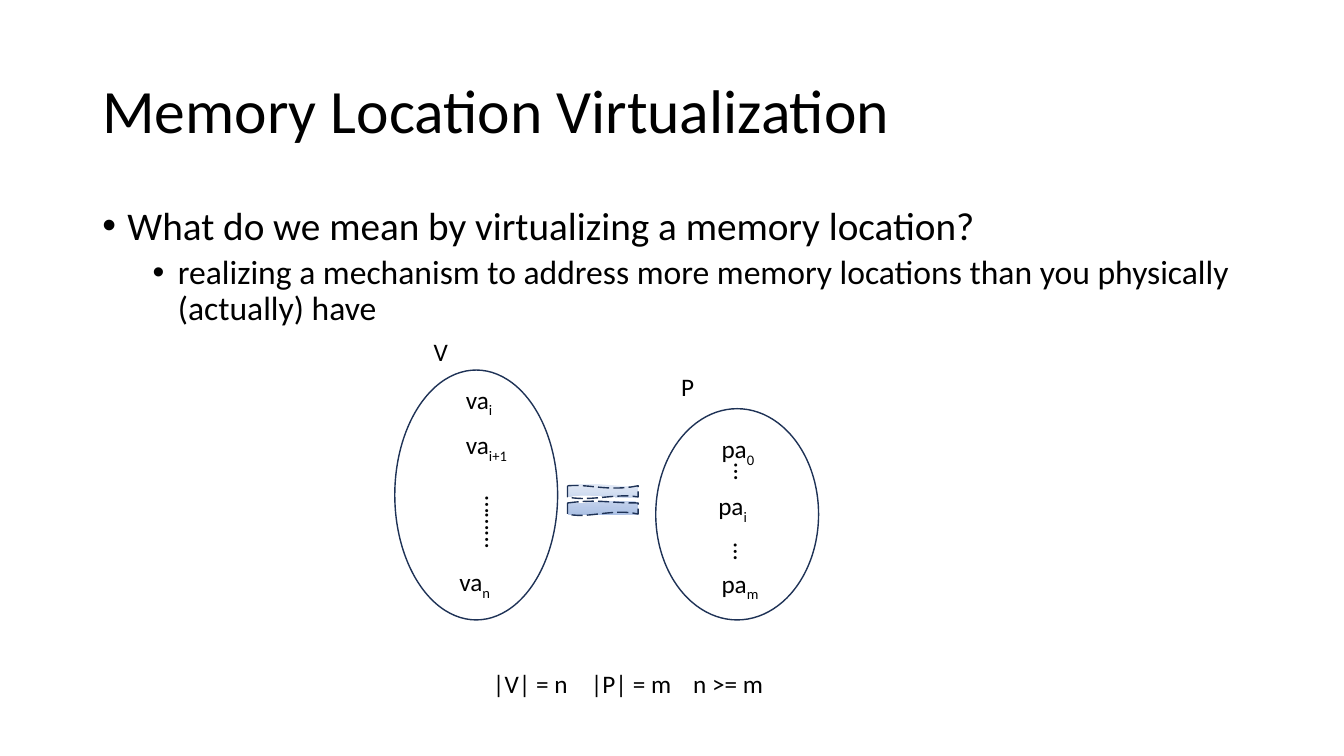
from lxml import etree
from pptx import Presentation
from pptx.dml.color import RGBColor
from pptx.enum.dml import MSO_LINE
from pptx.enum.shapes import MSO_SHAPE
from pptx.enum.text import MSO_ANCHOR
from pptx.oxml.ns import qn
from pptx.util import Pt

LONG_DASH = MSO_LINE.LONG_DASH
OVAL = MSO_SHAPE.OVAL
MIDDLE = MSO_ANCHOR.MIDDLE

FONT = "Calibri"
BLACK = "000000"
NAVY = "1E3256"
BAND_LEFT, BAND_RIGHT = 405.4, 455.8
CURVE_STEPS = 12


def rgb(value):
    """Turn a hex string into a colour."""
    return RGBColor.from_string(value)


def style_font(para, size):
    """Give a paragraph the slide's typeface and colour."""
    para.font.name = FONT
    para.font.size = Pt(size)
    para.font.color.rgb = rgb(BLACK)


def add_box(page, left, top, width, height, wrap=True):
    """Add an empty text box."""
    box = page.shapes.add_textbox(Pt(left), Pt(top), Pt(width), Pt(height))
    box.text_frame.word_wrap = wrap
    return box


def add_label(page, left, top, width, text, subscript="", turned=False, wrap=True):
    """Add a one-line label, with a subscript or a quarter turn if asked."""
    box = add_box(page, left, top, width, 29, wrap)
    para = box.text_frame.paragraphs[0]
    style_font(para, 18)
    para.add_run().text = text
    if subscript:
        span = para.add_run()
        span.text = subscript
        span.font._element.set("baseline", "-25000")
    if turned:
        box.rotation = 270
    return para


def add_tab_stops(para, positions):
    """Set left tab stops, in points from the text edge."""
    stops = etree.Element(qn("a:tabLst"))
    for position in positions:
        etree.SubElement(stops, qn("a:tab"), pos=str(Pt(position)), algn="l")
    para._p.get_or_add_pPr().insert(0, stops)


def add_title(page, text):
    """Add the slide heading."""
    frame = add_box(page, 66, 28.8, 828, 104.4).text_frame
    frame.vertical_anchor = MIDDLE
    para = frame.paragraphs[0]
    para.text = text
    para.line_spacing = 0.9
    style_font(para, 44)


def add_bullet(para, text, size, indent, space_before):
    """Fill a paragraph as a bullet with a hanging indent."""
    para.text = text
    para.line_spacing = 0.9
    para.space_before = Pt(space_before)
    style_font(para, size)
    properties = para._p.get_or_add_pPr()
    properties.set("marL", str(Pt(indent)))
    properties.set("indent", str(Pt(-18)))
    bullet_font = etree.Element(qn("a:buFont"), typeface="Arial")
    bullet = etree.Element(qn("a:buChar"), char="•")
    properties.find(qn("a:spcBef")).addnext(bullet_font)
    bullet_font.addnext(bullet)


def add_set(page, left, top, width, height):
    """Add the outline of an address set."""
    oval = page.shapes.add_shape(OVAL, Pt(left), Pt(top), Pt(width), Pt(height))
    oval.shadow.inherit = False
    oval.fill.background()
    oval.line.color.rgb = rgb(NAVY)
    oval.line.width = Pt(1)


def curve_points(start, first, second, end):
    """Sample a cubic curve, start and end included."""
    points = []
    for step in range(CURVE_STEPS + 1):
        t = step / CURVE_STEPS
        weights = ((1 - t) ** 3, 3 * t * (1 - t) ** 2, 3 * t * t * (1 - t), t ** 3)
        knots = (start, first, second, end)
        points.append(tuple(Pt(sum(w * knot[axis] for w, knot in zip(weights, knots)))
                            for axis in (0, 1)))
    return points


def band_points(top, bottom, top_controls, bottom_controls):
    """Return the outline of a band with wavy long sides."""
    return (curve_points((BAND_LEFT, top), *top_controls, (BAND_RIGHT, top))
            + curve_points((BAND_RIGHT, bottom), *bottom_controls, (BAND_LEFT, bottom)))


def add_bands(page, bands):
    """Add one freeform made of several bands."""
    outlines = [band_points(*band) for band in bands]
    builder = page.shapes.build_freeform(*outlines[0][0])
    for index, outline in enumerate(outlines):
        if index:
            builder.move_to(*outline[0])
        builder.add_line_segments(outline[1:], close=True)
    shape = builder.convert_to_shape()
    shape.shadow.inherit = False
    return shape


def add_equals_sign(page):
    """Add the hand-drawn equals sign between the sets."""
    body = add_bands(page, [
        (347, 355, ((422, 342.7), (442, 349.2)), ((432, 356.4), (421.2, 351.4))),
        (359.3, 367.2, ((418.3, 360.7), (450, 355.7)), ((440.6, 367.2), (422.6, 369.4))),
    ])
    body.line.fill.background()
    body.fill.gradient()
    body.fill.gradient_angle = 270
    for stop, color in zip(body.fill.gradient_stops, ("E3EAF6", "ABC0E4")):
        stop.color.rgb = rgb(color)
    edge = add_bands(page, [
        (347, 355, ((421.2, 345.6), (434.9, 351.4)), ((440.6, 352.1), (421.2, 358.6))),
        (359.3, 367.2, ((427, 356.4), (434.2, 359.3)), ((437.8, 362.9), (419.8, 370.8))),
    ])
    edge.fill.background()
    edge.line.color.rgb = rgb(NAVY)
    edge.line.width = Pt(1)
    edge.line.dash_style = LONG_DASH


def main():
    """Build and save the slide."""
    deck = Presentation()
    deck.slide_width, deck.slide_height = Pt(960), Pt(540)
    page = deck.slides.add_slide(deck.slide_layouts[6])

    add_title(page, "Memory Location Virtualization")
    frame = add_box(page, 66, 143.75, 828, 342.6).text_frame
    add_bullet(frame.paragraphs[0],
               "What do we mean by virtualizing a memory location?", 28, 18, 10)
    add_bullet(frame.add_paragraph(),
               "realizing a mechanism to address more memory locations "
               "than you physically (actually) have", 24, 54, 5)

    add_set(page, 282, 264.3, 116.3, 178.5)
    add_set(page, 468.4, 291.9, 116.3, 150.9)
    add_label(page, 302.6, 236.6, 25, "V", wrap=False)
    add_label(page, 479.5, 261.5, 24, "P", wrap=False)

    for left, top, width, name, subscript in (
            (325.7, 271, 36, "va", "i"),
            (325.7, 303.4, 61, "va", "i+1"),
            (321, 401.2, 44, "va", "n"),
            (508.3, 306.3, 45, "pa", "0"),
            (506, 347, 45, "pa", "i"),
            (508.3, 402.1, 45, "pa", "m")):
        add_label(page, left, top, width, name, subscript)
    for left, top, width, dots in (
            (312.5, 355, 58.3, "………"),
            (508.3, 324.7, 22.3, "…"),
            (501.8, 375.8, 34.6, "…")):
        add_label(page, left, top, width, dots, turned=True)

    sizes = add_label(page, 345, 474, 214.6, "|V| = n\t|P| = m\tn >= m")
    add_tab_stops(sizes, (70, 143))
    add_equals_sign(page)
    deck.save("out.pptx")


if __name__ == "__main__":
    main()
